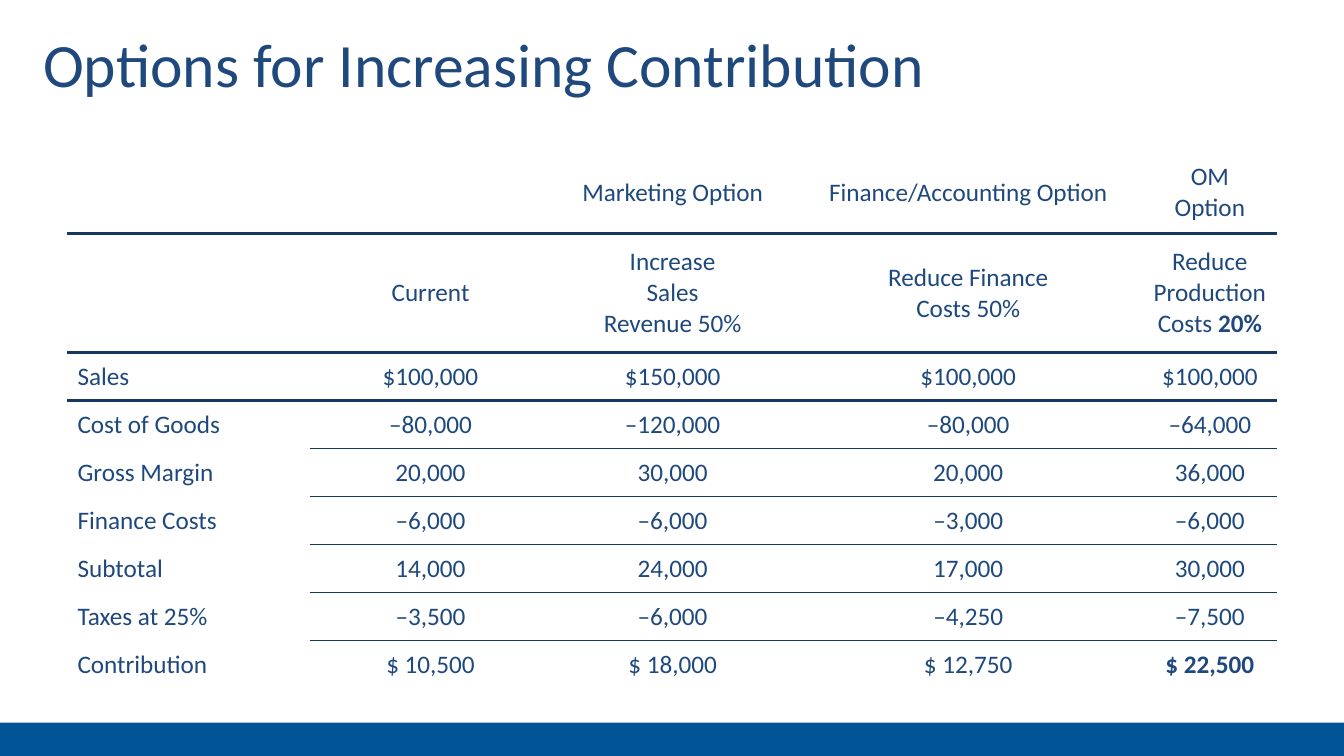
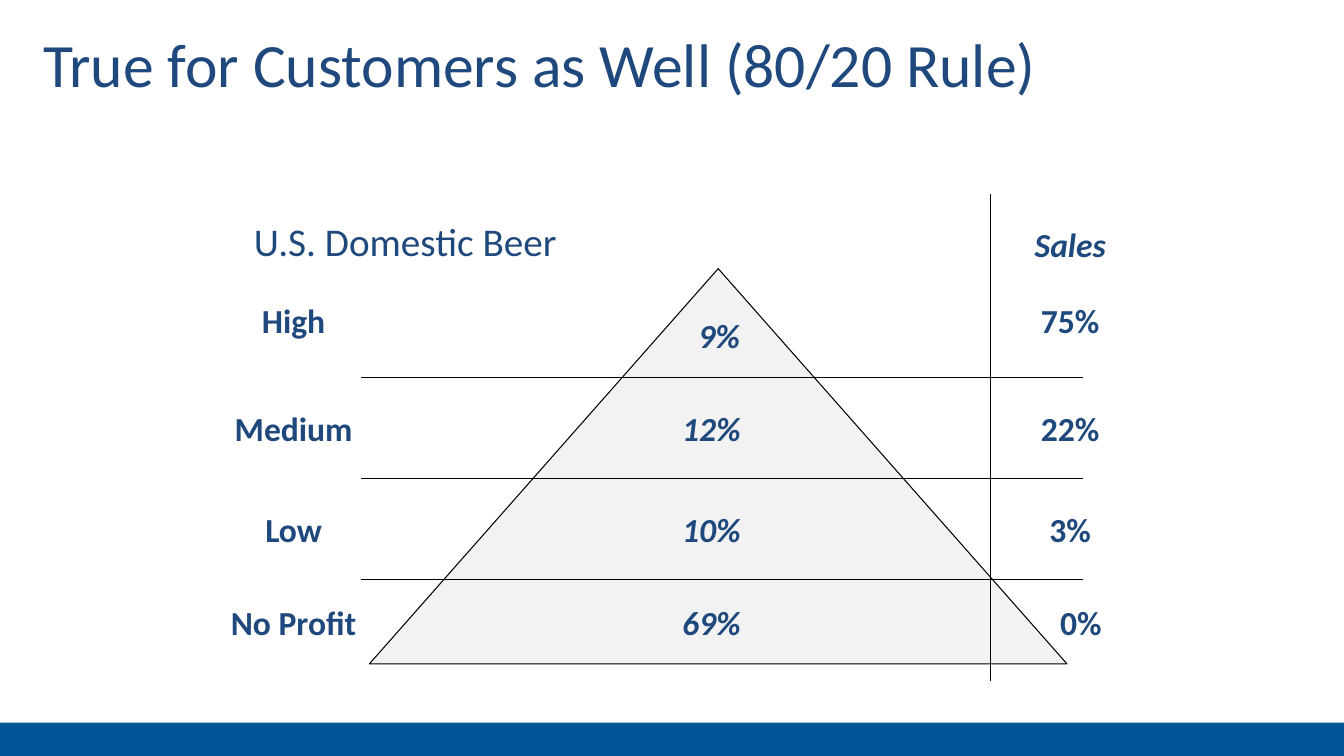
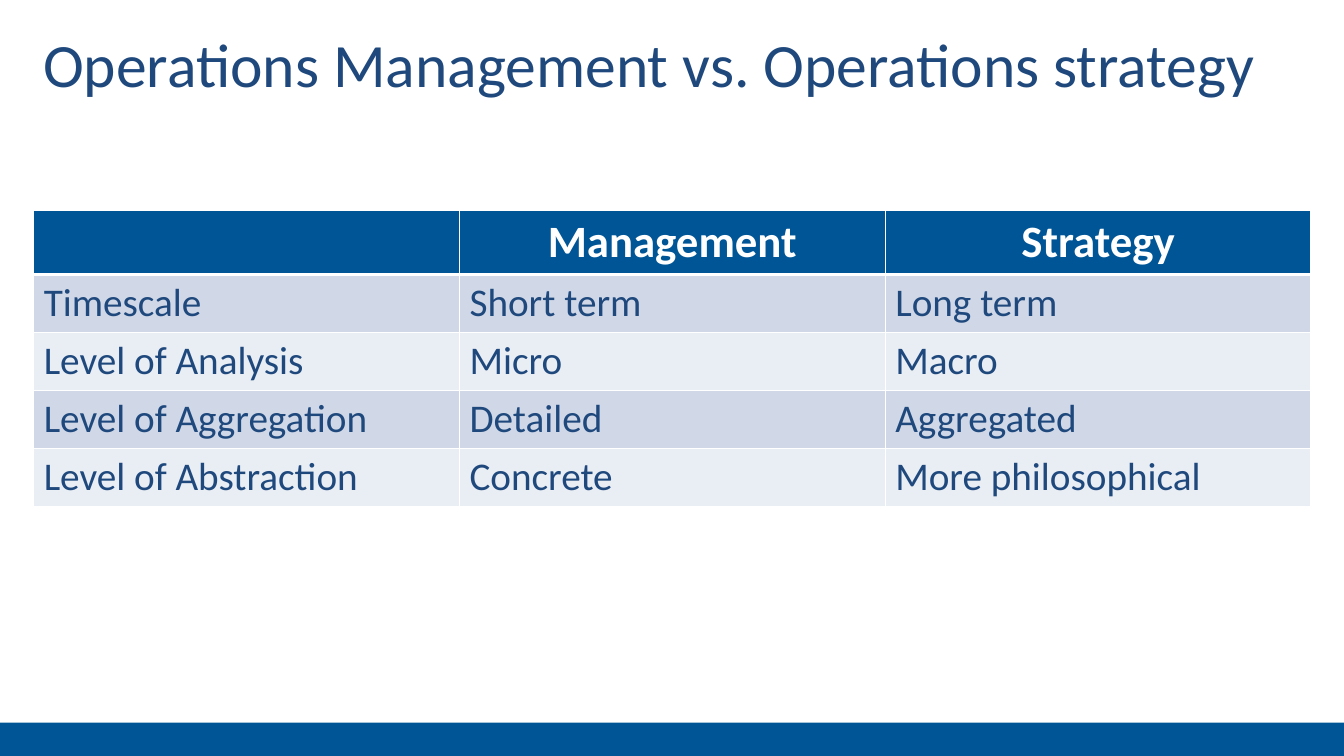
import pptx
import pptx.chart.data
import pptx.dml.color
import pptx.enum.shapes
import pptx.enum.text
import pptx.oxml.ns
import pptx.util
from lxml import etree

Cm = pptx.util.Cm
Pt = pptx.util.Pt
RGB = pptx.dml.color.RGBColor
ALIGN = pptx.enum.text.PP_ALIGN
ANCHOR = pptx.enum.text.MSO_ANCHOR
SHAPE = pptx.enum.shapes.MSO_SHAPE
qn = pptx.oxml.ns.qn

# Shared style
FONT = "Calibri"
TEXT = RGB(0x1F, 0x49, 0x7D)
BAND = RGB(0x00, 0x55, 0x96)
RULE = RGB(0x17, 0x37, 0x5E)
PALE = RGB(0xF2, 0xF2, 0xF2)
STRIPE_DARK = RGB(0xD0, 0xD8, 0xE8)
STRIPE_LIGHT = RGB(0xE9, 0xED, 0xF4)
WHITE = RGB(0xFF, 0xFF, 0xFF)
BLACK = RGB(0, 0, 0)
SLIDE_W, SLIDE_H = 33.87, 19.05
BAND_H = 0.84
PLAIN_TABLE = "{2D5ABB26-0587-4C30-8999-92F81FD0307C}"


def write(tf, text, size=18, color=TEXT, bold=False, italic=False,
          align=ALIGN.LEFT):
    """Fill a text frame; each line is a paragraph, **marks** are bold."""
    for i, line in enumerate(text.split("\n")):
        p = tf.paragraphs[0] if i == 0 else tf.add_paragraph()
        p.alignment = align
        for j, part in enumerate(line.split("**")):
            if not part:
                continue
            r = p.add_run()
            r.text = part
            r.font.name = FONT
            r.font.size = Pt(size)
            r.font.bold = bold or j % 2 == 1
            r.font.italic = italic
            r.font.color.rgb = color


class Deck:
    def __init__(self):
        self.prs = pptx.Presentation()
        self.prs.slide_width = Cm(SLIDE_W)
        self.prs.slide_height = Cm(SLIDE_H)
        self.s = None

    def slide(self, title):
        self.s = self.prs.slides.add_slide(self.prs.slide_layouts[6])
        self.shape(SHAPE.RECTANGLE, 0, SLIDE_H - BAND_H, SLIDE_W, BAND_H, BAND)
        self.text(title, 0.84, 0.42, 32.18, 2.34, size=44)

    def shape(self, kind, x, y, w, h, fill, line=None):
        sp = self.s.shapes.add_shape(kind, Cm(x), Cm(y), Cm(w), Cm(h))
        sp.shadow.inherit = False
        sp.fill.solid()
        sp.fill.fore_color.rgb = fill
        if line is None:
            sp.line.fill.background()
        else:
            sp.line.color.rgb = line
            sp.line.width = Pt(0.75)

    def text(self, text, x, y, w, h, anchor=ANCHOR.MIDDLE, wrap=True, **fmt):
        tf = self.s.shapes.add_textbox(Cm(x), Cm(y), Cm(w), Cm(h)).text_frame
        tf.word_wrap = wrap
        tf.vertical_anchor = anchor
        write(tf, text, **fmt)

    def line(self, x1, y1, x2, y2, width=1):
        sp = self.s.shapes.add_connector(
            pptx.enum.shapes.MSO_CONNECTOR.STRAIGHT,
            Cm(x1), Cm(y1), Cm(x2), Cm(y2))
        sp.line.color.rgb = BLACK
        sp.line.width = Pt(width)
        etree.SubElement(sp._element.spPr, qn("a:effectLst"))

    def edge(self, cell, side, width, color):
        ln = etree.SubElement(cell._tc.get_or_add_tcPr(), qn("a:ln" + side))
        if width:
            ln.set("w", str(int(Pt(width))))
            fill = etree.SubElement(ln, qn("a:solidFill"))
            etree.SubElement(fill, qn("a:srgbClr")).set("val", str(color))
        else:
            etree.SubElement(ln, qn("a:noFill"))

    def table(self, rows, x, y, widths, heights, look):
        """look(i, j) gives a cell's text format, fill, line colour, edges."""
        frame = self.s.shapes.add_table(
            len(rows), len(widths), Cm(x), Cm(y),
            Cm(sum(widths)), Cm(sum(heights)))
        tbl = frame.table
        tbl._tbl.tblPr.find(qn("a:tableStyleId")).text = PLAIN_TABLE
        tbl.first_row = tbl.horz_banding = False
        for col, w in zip(tbl.columns, widths):
            col.width = Cm(w)
        for row, h in zip(tbl.rows, heights):
            row.height = Cm(h)
        for i, row in enumerate(rows):
            for j, text in enumerate(row):
                cell = tbl.cell(i, j)
                fmt, fill, color, edges = look(i, j)
                cell.vertical_anchor = ANCHOR.MIDDLE
                write(cell.text_frame, text, **fmt)
                for side, width in zip("LRTB", edges):
                    self.edge(cell, side, width, color)
                if fill is None:
                    cell.fill.background()
                else:
                    cell.fill.solid()
                    cell.fill.fore_color.rgb = fill


def contribution(deck):
    deck.slide("Options for Increasing Contribution")
    rows = [
        ("", "", "Marketing Option", "Finance/Accounting Option",
         "OM\nOption"),
        ("", "Current", "Increase\nSales\nRevenue 50%",
         "Reduce Finance\nCosts 50%", "Reduce\nProduction\nCosts **20%**"),
        ("Sales", "$100,000", "$150,000", "$100,000", "$100,000"),
        ("Cost of Goods", "–80,000", "–120,000", "–80,000", "–64,000"),
        ("Gross Margin", "20,000", "30,000", "20,000", "36,000"),
        ("Finance Costs", "–6,000", "–6,000", "–3,000", "–6,000"),
        ("Subtotal", "14,000", "24,000", "17,000", "30,000"),
        ("Taxes at 25%", "–3,500", "–6,000", "–4,250", "–7,500"),
        ("Contribution", "$ 10,500", "$ 18,000", "$ 12,750",
         "**$ 22,500**"),
    ]

    def rule_below(i, j):
        if 0 <= i <= 2:
            return 2.25
        return 1 if j > 0 and 2 < i < len(rows) - 1 else 0

    def look(i, j):
        fmt = dict(align=ALIGN.CENTER if j else ALIGN.LEFT)
        return fmt, None, RULE, (0, 0, rule_below(i - 1, j), rule_below(i, j))

    deck.table(rows, 1.7, 3.81, [6.1, 6.1, 6.1, 8.8, 3.38],
               [2.08, 2.99] + [1.21] * 7, look)


def customers(deck):
    deck.slide("True for Customers as Well (80/20 Rule)")

    # Pyramid and dividing lines
    deck.shape(SHAPE.ISOSCELES_TRIANGLE, 9.31, 6.77, 17.58, 9.96, PALE, BLACK)
    for k in range(3):
        y = 9.52 + 2.54 * k
        deck.line(9.1, y, 27.3, y)
    deck.line(24.97, 4.88, 24.97, 17.15, width=0.75)

    # Headings
    deck.text("U.S. Domestic Beer", 6.15, 5.36, 8.23, 1.45,
              anchor=ANCHOR.TOP, wrap=False, size=28)
    deck.text("Sales", 25.6, 5.51, 2.75, 1.27, size=24, bold=True,
              italic=True, align=ALIGN.CENTER)

    # Level, top, share with its place, sales with its left
    levels = [
        ("High", 7.42, "9%", 17.35, 7.82, "75%", 25.7),
        ("Medium", 10.16, "12%", 16.94, 10.16, "22%", 25.7),
        ("Low", 12.7, "10%", 16.94, 12.7, "3%", 25.7),
        ("No Profit", 15.04, "69%", 16.94, 15.04, "0%", 25.97),
    ]
    for level, top, share, share_x, share_y, sales, sales_x in levels:
        deck.text(level, 5.28, top, 4.24, 1.27, size=24, bold=True,
                  align=ALIGN.CENTER)
        deck.text(share, share_x, share_y, 2.54, 1.27, anchor=ANCHOR.TOP,
                  size=24, bold=True, italic=True)
        deck.text(sales, sales_x, top, 2.54, 1.27, size=24, bold=True,
                  align=ALIGN.CENTER)


def strategy(deck):
    deck.slide("Operations Management vs. Operations strategy")
    rows = [
        ("", "Management", "Strategy"),
        ("Timescale", "Short term", "Long term"),
        ("Level of Analysis", "Micro", "Macro"),
        ("Level of Aggregation", "Detailed", "Aggregated"),
        ("Level of Abstraction", "Concrete", "More philosophical"),
    ]

    def look(i, j):
        if i == 0:
            fmt = dict(size=32, color=WHITE, bold=True, align=ALIGN.CENTER)
            return fmt, BAND, WHITE, (1, 1, 1, 3)
        fill = STRIPE_DARK if i % 2 else STRIPE_LIGHT
        return dict(size=28), fill, WHITE, (1, 1, 3 if i == 1 else 1, 1)

    deck.table(rows, 0.85, 5.29, [10.73] * 3, [1.63] + [1.46] * 4, look)


def main():
    deck = Deck()
    contribution(deck)
    customers(deck)
    strategy(deck)
    deck.prs.save("out.pptx")


if __name__ == "__main__":
    main()
